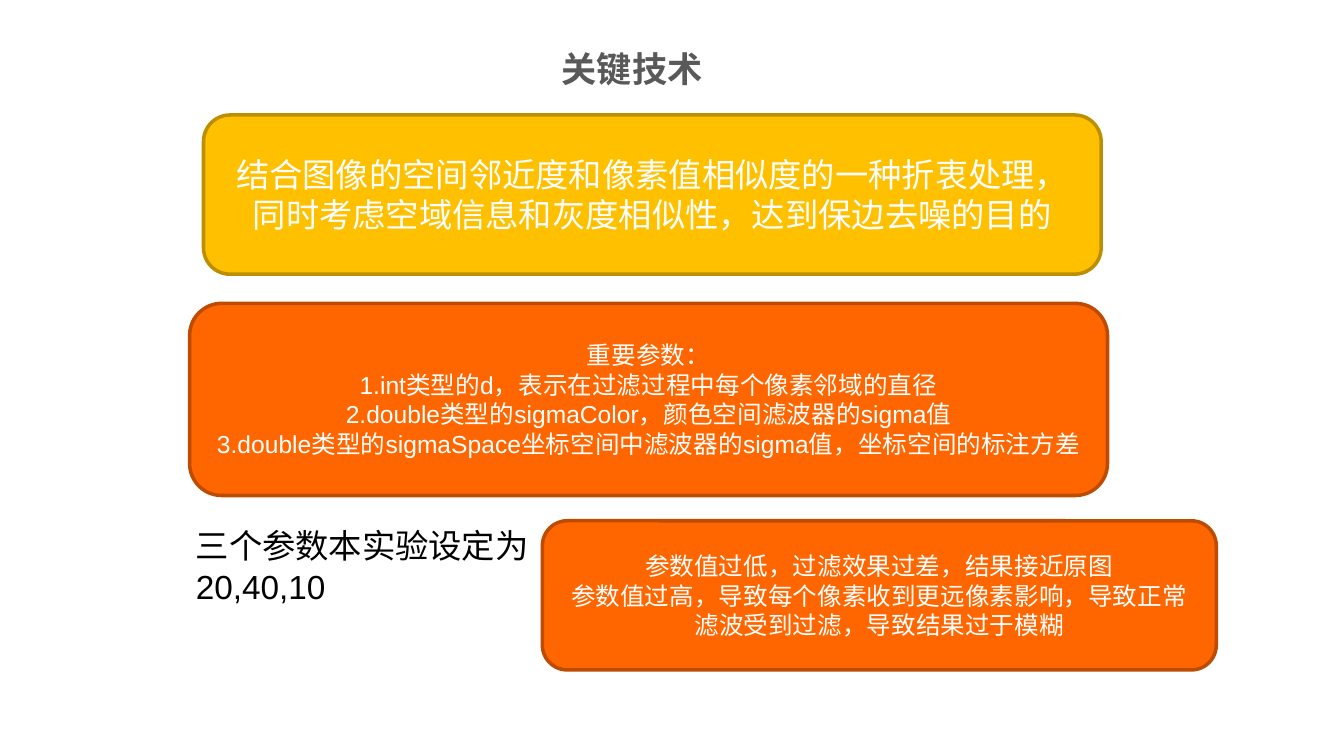
from dataclasses import dataclass

import pptx
import pptx.dml.color
import pptx.enum.shapes
import pptx.enum.text
import pptx.oxml.ns
import pptx.util
from lxml import etree

Inches = pptx.util.Inches
Align = pptx.enum.text.PP_ALIGN
Anchor = pptx.enum.text.MSO_ANCHOR


@dataclass(frozen=True)
class Theme:
    latin: str = "Arial"
    chinese: str = "Noto Sans CJK SC"
    title_ink: str = "595959"
    light_ink: str = "FFFFFF"
    dark_ink: str = "000000"
    gold: tuple = ("FFC000", "BD8E00")
    orange: tuple = ("FF6600", "BD4B00")
    title_size: int = 20
    large_size: int = 19
    detail_size: int = 14
    outline: int = 2


THEME = Theme()
SLIDE_SIZE = (10.63, 5.91)

TITLE = ("关键技术", (3.9, 0.37, 2.2, 0.34))
SETTING = ("三个参数本实验设定为20,40,10", (1.45, 4.11, 3.71, 0.74))
CARDS = [
    (
        (1.61, 0.91, 7.1, 1.26), THEME.gold, THEME.large_size,
        ["结合图像的空间邻近度和像素值相似度的一种折衷处理，同时考虑空域信息和灰度相似性，达到保边去噪的目的"],
    ),
    (
        (1.5, 2.4, 7.26, 1.52), THEME.orange, THEME.detail_size,
        [
            "重要参数：",
            "1.int类型的d，表示在过滤过程中每个像素邻域的直径",
            "2.double类型的sigmaColor，颜色空间滤波器的sigma值",
            "3.double类型的sigmaSpace坐标空间中滤波器的sigma值，坐标空间的标注方差",
        ],
    ),
    (
        (4.29, 4.12, 5.33, 1.18), THEME.orange, THEME.detail_size,
        [
            "参数值过低，过滤效果过差，结果接近原图",
            "参数值过高，导致每个像素收到更远像素影响，导致正常滤波受到过滤，导致结果过于模糊",
        ],
    ),
]


def color(value):
    return pptx.dml.color.RGBColor.from_string(value)


def write(frame, text, size, ink, align, anchor, latin=THEME.latin, bold=False):
    frame.text = text
    frame.word_wrap = True
    frame.auto_size = pptx.enum.text.MSO_AUTO_SIZE.NONE
    frame.vertical_anchor = anchor
    for para in frame.paragraphs:
        para.alignment = align
        for span in para.runs:
            span.font.name = latin
            span.font.size = pptx.util.Pt(size)
            span.font.bold = bold
            span.font.color.rgb = color(ink)
            east_asian = etree.SubElement(span.font._element, pptx.oxml.ns.qn("a:ea"))
            east_asian.set("typeface", THEME.chinese)


def add_title(page):
    text, bounds = TITLE
    title = page.shapes.title
    title.left, title.top, title.width, title.height = map(Inches, bounds)
    frame = title.text_frame
    frame.margin_left = frame.margin_right = frame.margin_top = frame.margin_bottom = 0
    write(frame, text, THEME.title_size, THEME.title_ink, Align.CENTER,
          Anchor.MIDDLE, THEME.chinese, True)


def add_card(page, bounds, colors, size, lines):
    rounded = pptx.enum.shapes.MSO_SHAPE.ROUNDED_RECTANGLE
    card = page.shapes.add_shape(rounded, *map(Inches, bounds))
    card.shadow.inherit = False
    fill, edge = colors
    card.fill.solid()
    card.fill.fore_color.rgb = color(fill)
    card.line.color.rgb = color(edge)
    card.line.width = pptx.util.Pt(THEME.outline)
    write(card.text_frame, "\n".join(lines), size, THEME.light_ink,
          Align.CENTER, Anchor.MIDDLE)


def add_setting(page):
    text, bounds = SETTING
    box = page.shapes.add_textbox(*map(Inches, bounds))
    write(box.text_frame, text, THEME.large_size, THEME.dark_ink,
          Align.LEFT, Anchor.TOP)


def main():
    deck = pptx.Presentation()
    deck.slide_width, deck.slide_height = map(Inches, SLIDE_SIZE)
    page = deck.slides.add_slide(deck.slide_layouts[5])
    add_title(page)
    for card in CARDS:
        add_card(page, *card)
    add_setting(page)
    deck.save("out.pptx")


if __name__ == "__main__":
    main()
